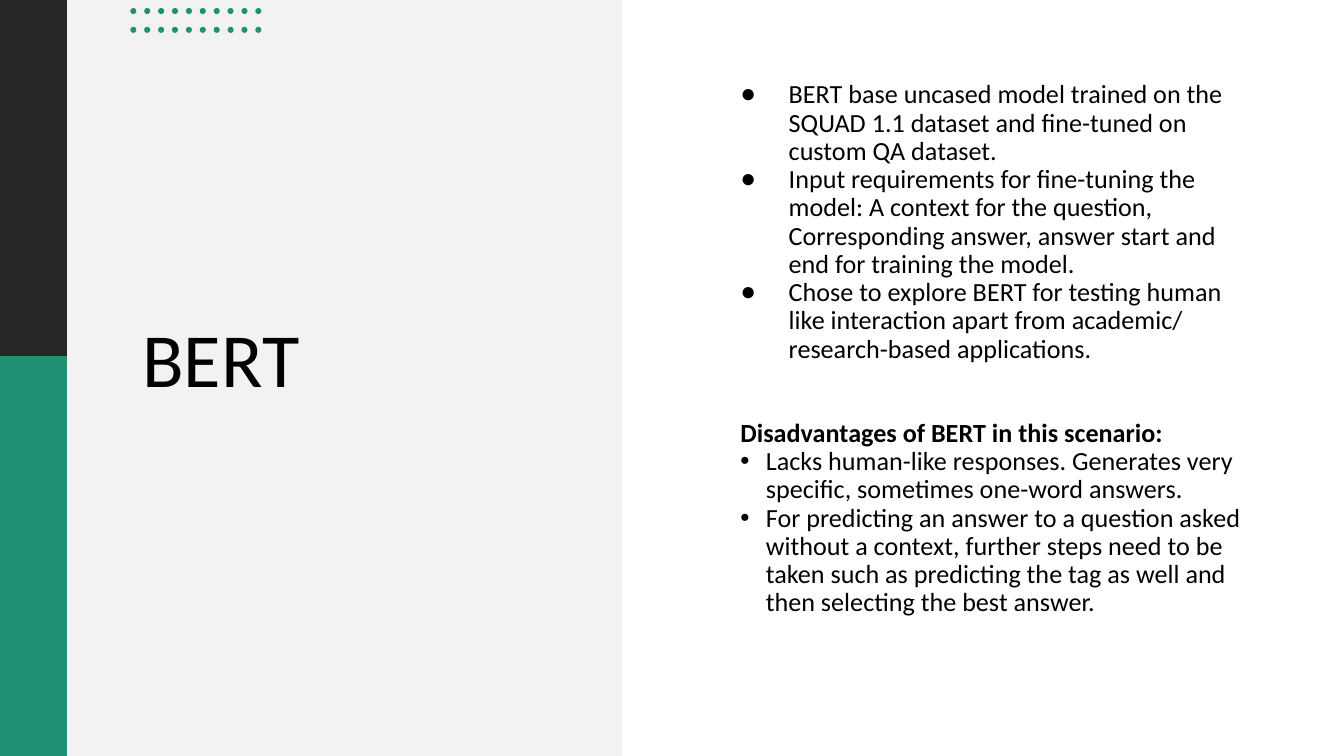
"""Build the BERT slide: a title panel on the left and bulleted notes on the right."""
from dataclasses import dataclass

from lxml.etree import SubElement
from pptx import Presentation
from pptx.dml.color import RGBColor as RGB
from pptx.enum.shapes import MSO_SHAPE as SHAPE
from pptx.enum.text import MSO_ANCHOR as ANCHOR, MSO_AUTO_SIZE as AUTO, PP_ALIGN as ALIGN
from pptx.oxml.ns import qn
from pptx.util import Inches, Pt


@dataclass(frozen=True)
class Theme:
    """Colours, font and type sizes of the slide."""
    dark: RGB = RGB(0x26, 0x26, 0x26)
    green: RGB = RGB(0x1F, 0x90, 0x72)
    panel: RGB = RGB(0xF2, 0xF2, 0xF2)
    text: RGB = RGB(0, 0, 0)
    font: str = "Calibri"
    title: Pt = Pt(41)
    body: Pt = Pt(14)
    spacing: float = 0.9


theme = Theme()
W = 10
H = W * 9 / 16
SIDE, PANEL_RIGHT, SPLIT = 0.05 * W, 4.63, 2.65
DOT_COLS, DOT_ROWS, DOT = 10, 2, H / 125
DOT_LEFT, DOT_TOP = 0.97, 0.06
DOT_DX, DOT_DY = (1.9 - DOT_LEFT) / (DOT_COLS - 1), 0.14


def add_solid(shapes, kind, color, *box):
    """Add a filled shape without line or shadow."""
    sp = shapes.add_shape(kind, *map(Inches, box))
    sp.fill.solid()
    sp.fill.fore_color.rgb = color
    sp.line.fill.background()
    sp.shadow.inherit = False


def style(p, size, bold=False):
    """Format a paragraph and its runs."""
    p.alignment = ALIGN.LEFT
    p.line_spacing = theme.spacing
    for r in p.runs:
        r.font.name, r.font.size, r.font.bold = theme.font, size, bold
        r.font.color.rgb = theme.text


prs = Presentation()
prs.slide_width, prs.slide_height = Inches(W), Inches(H)
s = prs.slides.add_slide(prs.slide_layouts[5])

add_solid(s.shapes, SHAPE.RECTANGLE, theme.dark, 0, 0, SIDE, SPLIT)
add_solid(s.shapes, SHAPE.RECTANGLE, theme.green, 0, SPLIT, SIDE, H - SPLIT)
add_solid(s.shapes, SHAPE.RECTANGLE, theme.panel, SIDE, 0, PANEL_RIGHT - SIDE, H)

title = s.shapes.title
title.left, title.top, title.width, title.height = map(Inches, (0.96, 1.09, 3.22, 3.22))
s.shapes._spTree.append(title._element)
tf = title.text_frame
tf.text = "BERT"
tf.vertical_anchor = ANCHOR.MIDDLE
tf.auto_size = AUTO.NONE
style(tf.paragraphs[0], theme.title)

dots = s.shapes.add_group_shape()
for col in range(DOT_COLS):
    for row in range(DOT_ROWS):
        add_solid(dots.shapes, SHAPE.OVAL, theme.green,
                  DOT_LEFT + col * DOT_DX, DOT_TOP + row * DOT_DY, DOT, DOT)

notes = [
    ("●", 0.5, -0.36, "BERT base uncased model trained on the SQUAD 1.1 dataset "
                      "and fine-tuned on custom QA dataset."),
    ("●", 0.5, -0.36, "Input requirements for fine-tuning the model: "
                      "A context for the question,"),
    (None, 0.5, 0, "Corresponding answer, answer start and end for training the model."),
    ("●", 0.5, -0.36, "Chose to explore BERT for testing human like interaction "
                      "apart from academic/ research-based applications."),
    (None, 0.14, 0, "Disadvantages of BERT in this scenario:"),
    ("•", 0.33, -0.19, "Lacks human-like responses. Generates very specific, "
                       "sometimes one-word answers."),
    ("•", 0.33, -0.19, "For predicting an answer to a question asked without a context, "
                       "further steps need to be taken such as predicting the tag as well "
                       "and then selecting the best answer."),
]
body = s.shapes.add_textbox(*map(Inches, (5.27, 0.41, 4.18, 4.58)))
tf = body.text_frame
tf.word_wrap = True
tf.vertical_anchor = ANCHOR.MIDDLE
tf.margin_bottom = Inches(0.25)
for i, (bullet, margin, indent, text) in enumerate(notes):
    p = tf.add_paragraph() if i else tf.paragraphs[0]
    p.text = text
    heading = text.startswith("Disadvantages")
    style(p, theme.body, heading)
    if heading:
        p.space_before = Pt(30)
    pPr = p._p.get_or_add_pPr()
    pPr.set("marL", str(Inches(margin)))
    pPr.set("indent", str(Inches(indent)))
    if bullet:
        color = SubElement(pPr, qn("a:buClr"))
        SubElement(color, qn("a:srgbClr"), val=str(theme.text))
        SubElement(pPr, qn("a:buFont"), typeface="Arial")
        SubElement(pPr, qn("a:buChar"), char=bullet)

prs.save("out.pptx")
